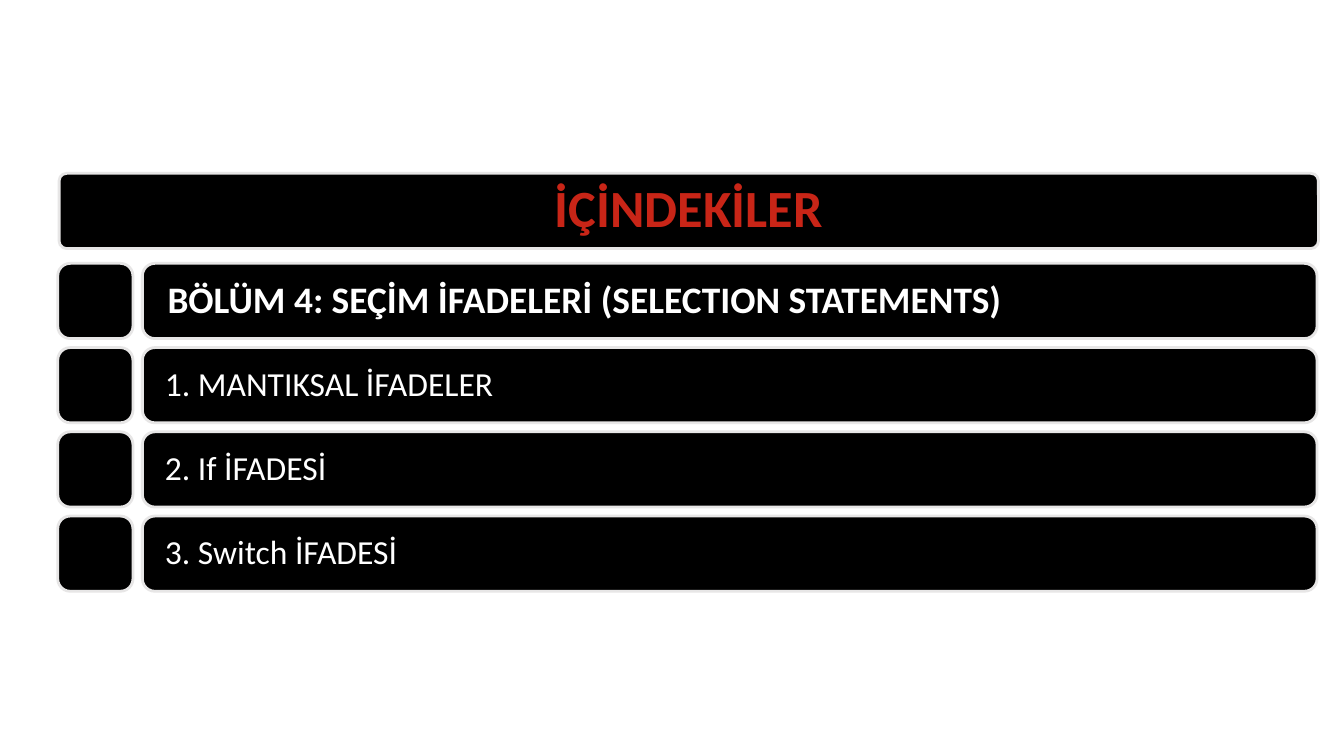
import dataclasses

import pptx
import pptx.dml.color
import pptx.enum.shapes
import pptx.enum.text
import pptx.util

Inches = pptx.util.Inches
Align = pptx.enum.text.PP_ALIGN


@dataclasses.dataclass(frozen=True)
class Theme:
    """Colours, font and type sizes of the slide."""
    font: str = "Calibri"
    panel: str = "000000"
    border: str = "E7E6E6"
    title: str = "C82517"
    text: str = "FFFFFF"
    title_size: int = 28
    chapter_size: int = 20
    topic_size: int = 18


THEME = Theme()
SLIDE_WIDTH = 10
SLIDE_HEIGHT = SLIDE_WIDTH * 9 / 16
LEFT, BAR_LEFT, RIGHT = 0.43, 1.06, 9.8
FIRST_ROW_TOP, LAST_ROW_TOP, ROW_HEIGHT = 1.96, 3.84, 0.56
CHAPTER = "BÖLÜM 4: SEÇİM İFADELERİ (SELECTION STATEMENTS)"
TOPICS = ["1. MANTIKSAL İFADELER", "2. If İFADESİ", "3. Switch İFADESİ"]
ROW_PITCH = (LAST_ROW_TOP - FIRST_ROW_TOP) / len(TOPICS)


def color(value):
    """Return an RGB colour for a hex string."""
    return pptx.dml.color.RGBColor.from_string(value)


def add_panel(slide, left, top, width, height, rounding=0.167):
    """Add a black rounded panel with a pale border."""
    shape = slide.shapes.add_shape(
        pptx.enum.shapes.MSO_SHAPE.ROUNDED_RECTANGLE,
        Inches(left), Inches(top), Inches(width), Inches(height))
    shape.adjustments[0] = rounding
    shape.shadow.inherit = False
    shape.fill.solid()
    shape.fill.fore_color.rgb = color(THEME.panel)
    shape.line.color.rgb = color(THEME.border)
    shape.line.width = pptx.util.Pt(1.5)
    return shape


def write_text(shape, text, *, size, fill=THEME.text, bold=False,
               align=Align.LEFT, inset=0.14):
    """Write one vertically centred paragraph into a shape."""
    frame = shape.text_frame
    frame.word_wrap = True
    frame.vertical_anchor = pptx.enum.text.MSO_ANCHOR.MIDDLE
    frame.margin_left = frame.margin_right = Inches(inset)
    frame.margin_top = frame.margin_bottom = Inches(0.04)
    paragraph = frame.paragraphs[0]
    paragraph.alignment = align
    paragraph.line_spacing = 0.9
    run = paragraph.add_run()
    run.text = text
    run.font.name = THEME.font
    run.font.size = pptx.util.Pt(size)
    run.font.bold = bold
    run.font.color.rgb = color(fill)


def add_row(slide, index, text, **text_format):
    """Add a square marker and a text bar at the given row."""
    top = FIRST_ROW_TOP + index * ROW_PITCH
    add_panel(slide, LEFT, top, ROW_HEIGHT, ROW_HEIGHT)
    bar = add_panel(slide, BAR_LEFT, top, RIGHT - BAR_LEFT, ROW_HEIGHT)
    write_text(bar, text, **text_format)


def main():
    """Build the contents slide and save it."""
    presentation = pptx.Presentation()
    presentation.slide_width = Inches(SLIDE_WIDTH)
    presentation.slide_height = Inches(SLIDE_HEIGHT)
    slide = presentation.slides.add_slide(presentation.slide_layouts[6])

    heading = add_panel(slide, 0.44, 1.29, 9.37, ROW_HEIGHT, rounding=0.1)
    write_text(heading, "İÇİNDEKİLER", size=THEME.title_size,
               fill=THEME.title, bold=True, align=Align.CENTER, inset=0.06)

    add_row(slide, 0, CHAPTER, size=THEME.chapter_size, bold=True, inset=0.16)
    for index, topic in enumerate(TOPICS, start=1):
        add_row(slide, index, topic, size=THEME.topic_size)

    presentation.save("out.pptx")


main()
